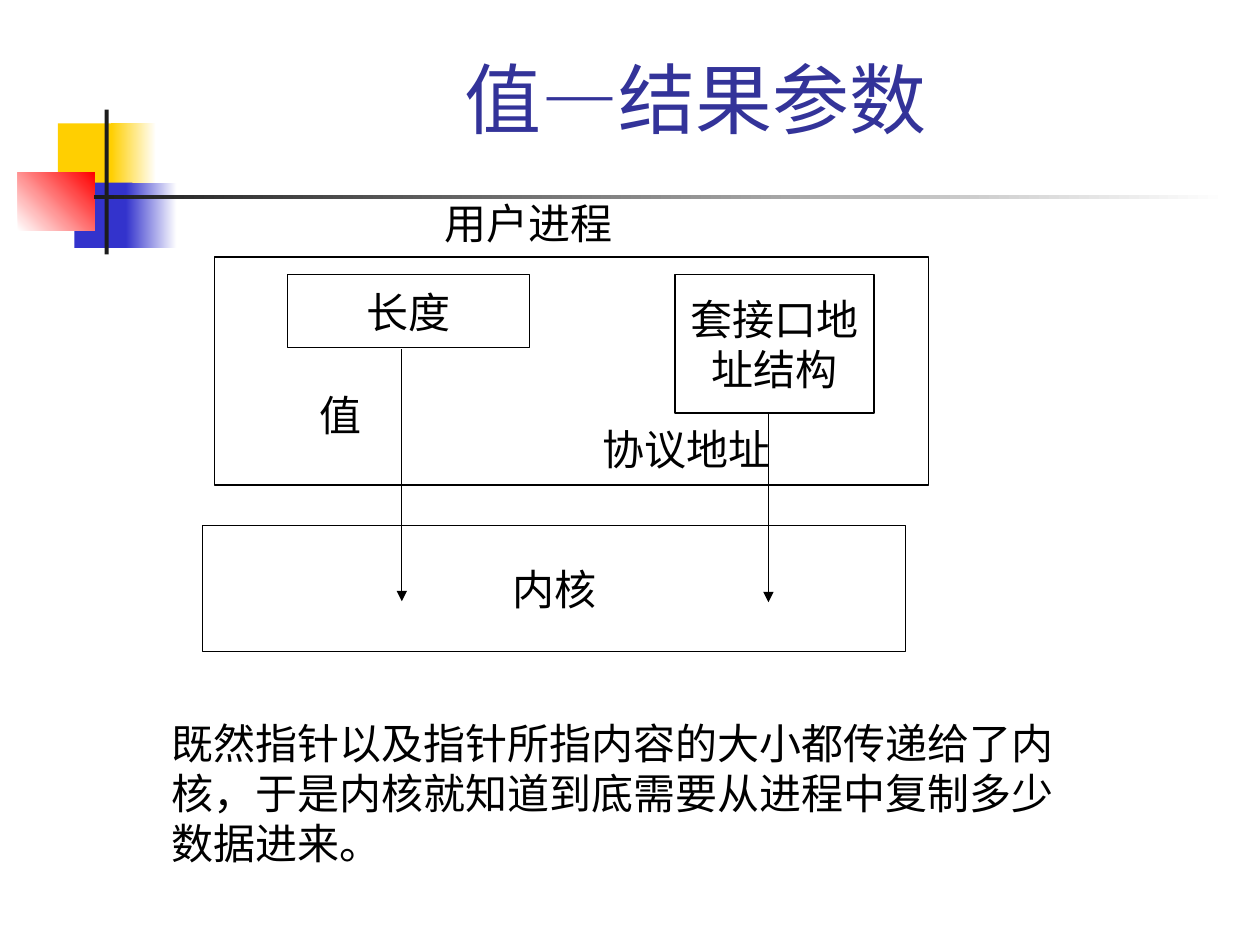
"""Build a slide on value-result arguments passed from a process to the kernel."""
from lxml import etree
from pptx import Presentation
from pptx.dml.color import RGBColor
from pptx.enum.shapes import MSO_CONNECTOR, MSO_SHAPE
from pptx.enum.text import MSO_ANCHOR, MSO_AUTO_SIZE, PP_ALIGN
from pptx.oxml.ns import qn
from pptx.util import Cm, Pt

RECT = MSO_SHAPE.RECTANGLE
STRAIGHT = MSO_CONNECTOR.STRAIGHT
CENTER, LEFT = PP_ALIGN.CENTER, PP_ALIGN.LEFT
MIDDLE, BOTTOM, TOP = MSO_ANCHOR.MIDDLE, MSO_ANCHOR.BOTTOM, MSO_ANCHOR.TOP
GROW, FIXED = MSO_AUTO_SIZE.SHAPE_TO_FIT_TEXT, MSO_AUTO_SIZE.NONE

COLORS = {
    "white": "FFFFFF", "black": "000000", "dark": "1C1C1C", "title": "333399",
    "yellow": "FFCF01", "blue": "3333CC", "red": "FF0000",
}
SERIF, SANS = "Times New Roman", "Lato"
LINE_WIDTH = Pt(0.75)

DECOR = [
    ((1.17, 2.49, 1.22, 1.32), ("yellow",), 0),
    ((2.24, 2.49, 0.91, 1.32), ("yellow", "white"), 0),
    ((1.5, 3.68, 1.17, 1.32), ("blue",), 0),
    ((2.54, 3.68, 1.02, 1.32), ("blue", "white"), 0),
    ((0.36, 3.48, 1.55, 1.17), ("white", "red"), 45),
    ((2.11, 2.21, 0.08, 2.92), ("dark",), 0),
    ((1.9, 3.94, 22.86, 0.08), ("dark", "white"), 0),
]
BOXES = [
    ((4.32, 5.18, 14.4, 4.6), "", True),
    ((4.09, 10.59, 14.17, 2.54), "内核", False),
    ((5.79, 5.54, 4.88, 1.47), "长度", False),
    ((13.61, 5.54, 4.01, 2.79), "套接口地址结构", True),
]
ARROWS = [(8.1, 7.04, 12.12), (15.49, 8.33, 12.14)]
LABELS = [
    ((8.71, 3.86, 4.88, 1.27), "用户进程", SERIF),
    ((6.2, 7.72, 1.7, 1.27), "值", SERIF),
    ((11.89, 8.41, 4.04, 1.27), "协议地址", SERIF),
    ((3.2, 14.33, 18.9, 3.33),
     "既然指针以及指针所指内容的大小都传递给了内核，"
     "于是内核就知道到底需要从进程中复制多少数据进来。", SANS),
]


def rgb(name):
    """Return the named colour."""
    return RGBColor.from_string(COLORS[name])


def set_attrs(obj, values):
    """Set each attribute in values on obj."""
    for name, value in values.items():
        setattr(obj, name, value)


def write_text(sp, text, frame, align=LEFT, font=SERIF, size=24, color="black"):
    """Write one formatted paragraph into a shape."""
    tf = sp.text_frame
    set_attrs(tf, frame)
    p = tf.paragraphs[0]
    p.alignment = align
    r = p.add_run()
    r.text = text
    set_attrs(r.font, {"name": font, "size": Pt(size)})
    r.font.color.rgb = rgb(color)


def add_rect(s, place, fills, angle=0):
    """Add a rectangle without outline, filled plain or with a gradient."""
    sp = s.shapes.add_shape(RECT, *map(Cm, place))
    sp.shadow.inherit = False
    sp.line.fill.background()
    if len(fills) == 1:
        sp.fill.solid()
        sp.fill.fore_color.rgb = rgb(fills[0])
    else:
        sp.fill.gradient()
        sp.fill.gradient_angle = angle
        for stop, name in zip(sp.fill.gradient_stops, fills):
            stop.color.rgb = rgb(name)
    return sp


def add_box(s, place, text, wrap):
    """Add an outlined white box with optional centred text."""
    sp = add_rect(s, place, ("white",))
    sp.line.color.rgb = rgb("black")
    sp.line.width = LINE_WIDTH
    if text:
        frame = {"word_wrap": wrap, "vertical_anchor": MIDDLE}
        write_text(sp, text, frame, CENTER)


def add_label(s, place, text, font):
    """Add a wrapping text box that grows with its text."""
    sp = s.shapes.add_textbox(*map(Cm, place))
    frame = {"word_wrap": True, "auto_size": GROW, "vertical_anchor": TOP}
    write_text(sp, text, frame, font=font)


def add_arrow(s, x, top, bottom):
    """Add a downward arrow."""
    sp = s.shapes.add_connector(STRAIGHT, Cm(x), Cm(top), Cm(x), Cm(bottom))
    sp.line.color.rgb = rgb("black")
    sp.line.width = LINE_WIDTH
    ln = sp.line._get_or_add_ln()
    etree.SubElement(ln, qn("a:tailEnd"), type="triangle")
    etree.SubElement(sp._element.spPr, qn("a:effectLst"))


def set_title(s, place, text):
    """Move and fill the title placeholder."""
    sp = s.shapes.title
    set_attrs(sp, dict(zip(("left", "top", "width", "height"), map(Cm, place))))
    frame = {"word_wrap": True, "auto_size": FIXED, "vertical_anchor": BOTTOM}
    write_text(sp, text, frame, CENTER, SANS, 44, "title")


def main():
    """Build and save the slide."""
    prs = Presentation()
    set_attrs(prs, {"slide_width": Cm(25.4), "slide_height": Cm(19.05)})
    s = prs.slides.add_slide(prs.slide_layouts.get_by_name("Title Only"))
    for decor in DECOR:
        add_rect(s, *decor)
    set_title(s, (3.2, 0.48, 21.64, 2.54), "值—结果参数")
    for box in BOXES:
        add_box(s, *box)
    for arrow in ARROWS:
        add_arrow(s, *arrow)
    for label in LABELS:
        add_label(s, *label)
    prs.save("out.pptx")


if __name__ == "__main__":
    main()
